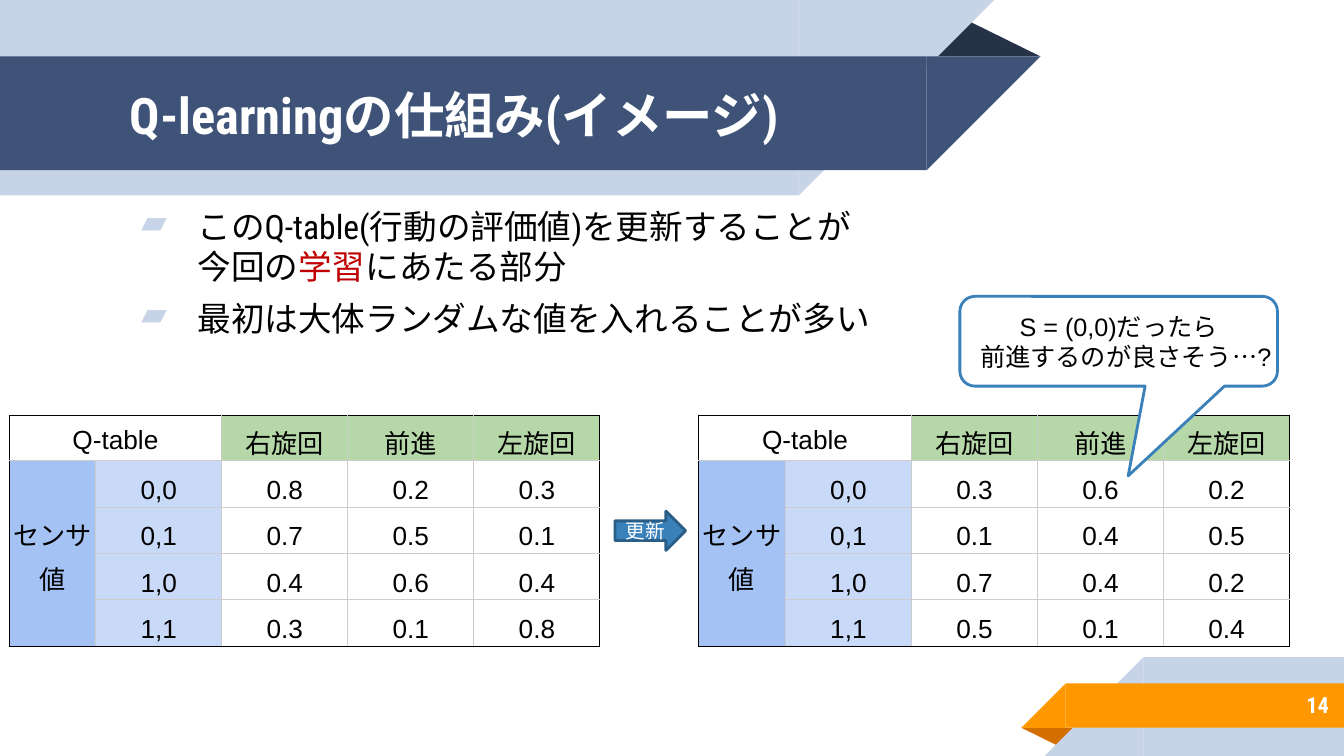
from dataclasses import dataclass

import pptx
import pptx.dml.color
import pptx.enum.shapes
import pptx.enum.text
import pptx.oxml.ns
import pptx.util
from lxml import etree

Inches = pptx.util.Inches
Pt = pptx.util.Pt
Shape = pptx.enum.shapes.MSO_SHAPE
Align = pptx.enum.text.PP_ALIGN
Anchor = pptx.enum.text.MSO_ANCHOR
qn = pptx.oxml.ns.qn

COLORS = {
    "white": "FFFFFF", "black": "000000", "red": "C00000",
    "navy": "3F5378", "navy_fold": "263248", "pale": "C7D3E6",
    "orange": "FF9800", "orange_fold": "D26F00",
    "blue": "3A81BA", "blue_edge": "2A5E87", "grid": "CCCCCC",
    "action": "B6D7A8", "sensor": "A4C2F4", "state": "C9DAF8",
}
HEADING_FONT = "Roboto Condensed"
BODY_FONT = "Arial"
ACTIONS = ["右旋回", "前進", "左旋回"]
STATES = ["0,0", "0,1", "1,0", "1,1"]
COLUMN_WIDTHS = [0.86] + [1.25] * 4
ROW_HEIGHTS = [0.45] + [0.46] * 4
TABLE_TOP = 4.12


@dataclass
class Box:
    left: float
    top: float
    width: float
    height: float

    def lengths(self) -> list:
        return [Inches(v) for v in (self.left, self.top, self.width, self.height)]


@dataclass
class Piece:
    kind: int
    box: Box
    color: str
    rotation: int = 0


@dataclass
class Style:
    size: float
    font: str
    color: str
    bold: bool = False


@dataclass
class QTable:
    left: float
    values: list


def fold(left: float, top: float, width: float, height: float, color: str, rotation: int) -> Piece:
    return Piece(Shape.ISOSCELES_TRIANGLE, Box(left, top, width, height), color, rotation)


def ribbon(left: float, right: float, top: float, height: float, color: str, slant_right: bool) -> list[Piece]:
    slant_left, rotation = (right, 90) if slant_right else (left - height, 270)
    return [
        Piece(Shape.RECTANGLE, Box(left, top, right - left, height), color),
        Piece(Shape.RIGHT_TRIANGLE, Box(slant_left, top, height, height), color, rotation),
    ]


PIECES = [
    fold(9.18, 0.18, 1.14, 0.38, "navy_fold", 0),
    *ribbon(0, 7.92, 0, 1.94, "pale", True),
    *ribbon(0, 9.19, 0.56, 1.13, "navy", True),
    fold(10.13, 7.22, 0.57, 0.19, "orange_fold", 180),
    *ribbon(11.34, 13.33, 6.52, 0.98, "pale", False),
    *ribbon(10.57, 13.33, 6.78, 0.44, "orange", False),
]

Q_TABLES = [
    QTable(0.09, [[0.8, 0.2, 0.3], [0.7, 0.5, 0.1], [0.4, 0.6, 0.4], [0.3, 0.1, 0.8]]),
    QTable(6.93, [[0.3, 0.6, 0.2], [0.1, 0.4, 0.5], [0.7, 0.4, 0.2], [0.5, 0.1, 0.4]]),
]


def rgb(name: str) -> pptx.dml.color.RGBColor:
    return pptx.dml.color.RGBColor.from_string(COLORS[name])


def style_spans(para, style: Style) -> None:
    for span in para.runs:
        span.font.size = Pt(style.size)
        span.font.name = style.font
        span.font.bold = style.bold
        span.font.color.rgb = rgb(style.color)


def add_piece(page, piece: Piece):
    shape = page.shapes.add_shape(piece.kind, *piece.box.lengths())
    shape.shadow.inherit = False
    shape.fill.solid()
    shape.fill.fore_color.rgb = rgb(piece.color)
    shape.line.fill.background()
    shape.rotation = piece.rotation
    if piece.kind == Shape.ISOSCELES_TRIANGLE:
        shape.adjustments[0] = 0.324
    return shape


def add_label_shape(page, piece: Piece, edge: str, text: str, style: Style):
    shape = add_piece(page, piece)
    shape.line.color.rgb = rgb(edge)
    shape.line.width = Pt(2)
    frame = shape.text_frame
    frame.word_wrap = True
    frame.vertical_anchor = Anchor.MIDDLE
    frame.text = text
    frame.paragraphs[0].alignment = Align.CENTER
    style_spans(frame.paragraphs[0], style)
    return shape


def add_text(page, box: Box, text: str, style: Style, anchor=Anchor.MIDDLE, align=Align.LEFT):
    frame = page.shapes.add_textbox(*box.lengths()).text_frame
    frame.word_wrap = True
    frame.vertical_anchor = anchor
    frame.margin_left = frame.margin_right = Inches(0.1)
    frame.margin_top = frame.margin_bottom = Inches(0.1)
    frame.text = text
    for para in frame.paragraphs:
        para.alignment = align
        style_spans(para, style)
    return frame


def add_bullet(para) -> None:
    para.space_before = Pt(8)
    props = para._p.get_or_add_pPr()
    props.set("marL", str(Inches(0.67)))
    props.set("indent", str(Inches(-0.56)))
    color = etree.SubElement(props, qn("a:buClr"))
    etree.SubElement(color, qn("a:srgbClr"), val=COLORS["pale"])
    etree.SubElement(props, qn("a:buChar"), char="▰")


def add_explanation(page) -> None:
    style = Style(24, HEADING_FONT, "black")
    frame = add_text(
        page, Box(1.19, 1.94, 11.48, 4.59),
        "このQ-table(行動の評価値)を更新することが\v今回の\n最初は大体ランダムな値を入れることが多い",
        style, Anchor.TOP)
    first = frame.paragraphs[0]
    for text in ("学習", "にあたる部分"):
        first.add_run().text = text
    style_spans(first, style)
    first.runs[-2].font.color.rgb = rgb("red")
    for para in frame.paragraphs:
        add_bullet(para)


def set_borders(cell, outer: dict[str, bool]) -> None:
    props = cell._tc.get_or_add_tcPr()
    for side, is_outer in outer.items():
        line = etree.SubElement(props, qn(f"a:ln{side}"), w=str(Pt(0.75)))
        fill = etree.SubElement(line, qn("a:solidFill"))
        etree.SubElement(fill, qn("a:srgbClr"), val=COLORS["black" if is_outer else "grid"])


def cell_color(row: int, column: int) -> str | None:
    if row == 0:
        return "action" if column > 1 else None
    return {0: "sensor", 1: "state"}.get(column)


def add_q_table(page, q_table: QTable) -> None:
    grid = [["Q-table", ""] + ACTIONS]
    for index, (state, values) in enumerate(zip(STATES, q_table.values)):
        grid.append(["センサ値" if index == 0 else "", state] + [str(v) for v in values])
    rows, columns = len(grid), len(grid[0])
    box = Box(q_table.left, TABLE_TOP, sum(COLUMN_WIDTHS), sum(ROW_HEIGHTS))
    table = page.shapes.add_table(rows, columns, *box.lengths()).table
    table.first_row = table.horz_banding = False
    for column, width in zip(table.columns, COLUMN_WIDTHS):
        column.width = Inches(width)
    for row, height in zip(table.rows, ROW_HEIGHTS):
        row.height = Inches(height)
    table.cell(0, 0).merge(table.cell(0, 1))
    table.cell(1, 0).merge(table.cell(rows - 1, 0))
    for r, texts in enumerate(grid):
        for c, text in enumerate(texts):
            cell = table.cell(r, c)
            cell.margin_left = cell.margin_right = Inches(0.03)
            cell.margin_top = cell.margin_bottom = Inches(0.02)
            cell.vertical_anchor = Anchor.MIDDLE if r == 0 or c == 0 else Anchor.BOTTOM
            set_borders(cell, {"L": c == 0, "R": c + cell.span_width == columns,
                               "T": r == 0, "B": r + cell.span_height == rows})
            color = cell_color(r, c)
            if color:
                cell.fill.solid()
                cell.fill.fore_color.rgb = rgb(color)
            else:
                cell.fill.background()
            if text:
                cell.text_frame.text = text
                para = cell.text_frame.paragraphs[0]
                para.alignment = Align.CENTER
                para.line_spacing = 1.15
                style_spans(para, Style(18.7, BODY_FONT, "black"))


def main() -> None:
    deck = pptx.Presentation()
    deck.slide_width, deck.slide_height = Inches(13.33), Inches(7.5)
    page = deck.slides.add_slide(deck.slide_layouts[6])
    for piece in PIECES:
        add_piece(page, piece)
    add_text(page, Box(1.19, 0.57, 8.01, 1.12), "Q-learningの仕組み(イメージ)",
             Style(36, HEADING_FONT, "white", True))
    add_text(page, Box(11.11, 6.76, 2.17, 0.46), "14",
             Style(16, HEADING_FONT, "white", True), align=Align.RIGHT)
    add_explanation(page)
    for q_table in Q_TABLES:
        add_q_table(page, q_table)
    add_label_shape(page, Piece(Shape.RIGHT_ARROW, Box(6.1, 5.07, 0.7, 0.39), "blue"),
                    "blue_edge", "更新", Style(14, BODY_FONT, "white"))
    callout = add_label_shape(
        page, Piece(Shape.ROUNDED_RECTANGULAR_CALLOUT, Box(9.52, 2.94, 3.15, 0.89), "white"),
        "blue", "S = (0,0)だったら\v前進するのが良さそう…?", Style(18, BODY_FONT, "black"))
    callout.adjustments[0], callout.adjustments[1] = 0.03, 1.5
    deck.save("out.pptx")


if __name__ == "__main__":
    main()
